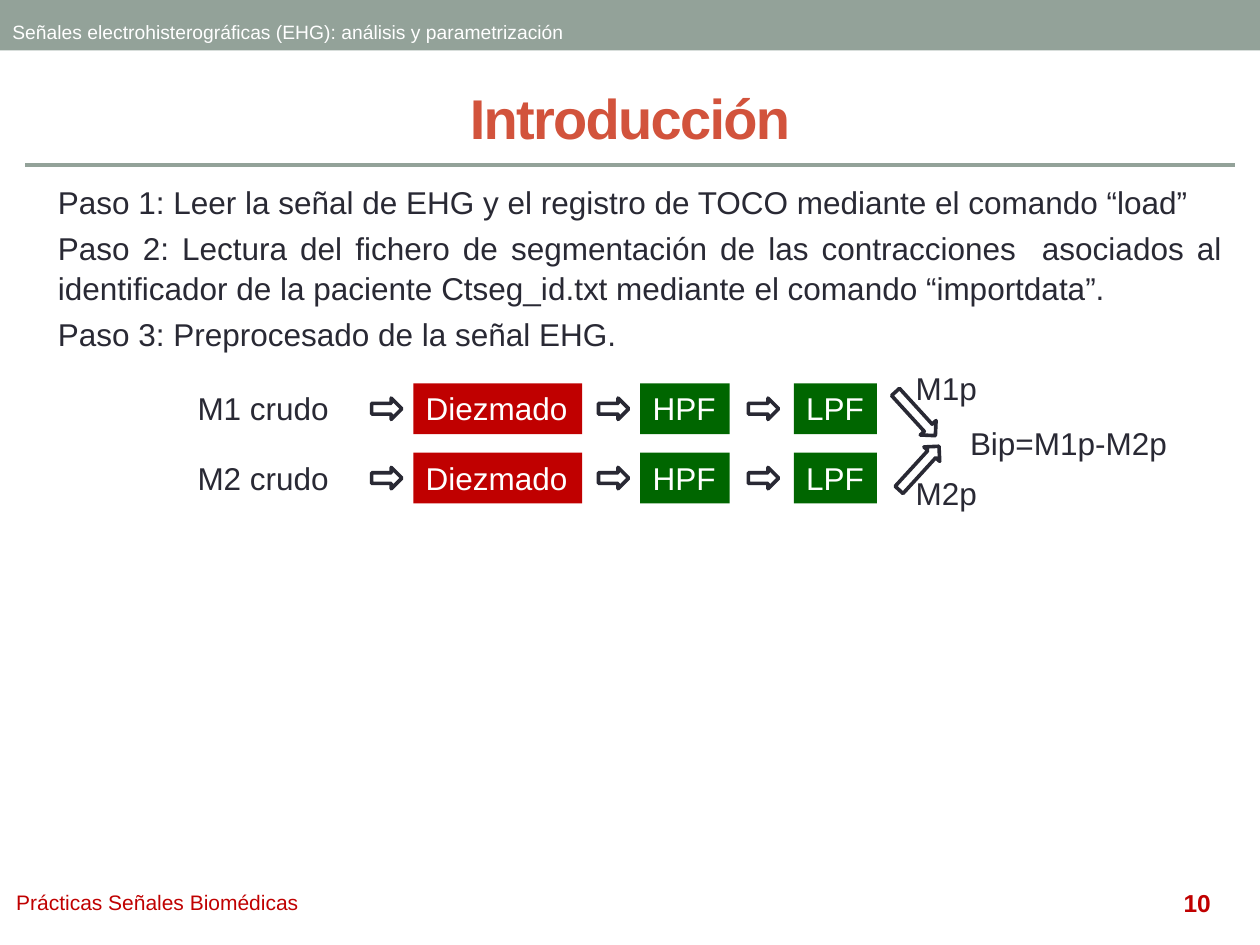
from dataclasses import dataclass

from lxml.etree import SubElement
from pptx import Presentation
from pptx.dml.color import RGBColor
from pptx.enum.shapes import MSO_CONNECTOR, MSO_SHAPE
from pptx.enum.text import MSO_ANCHOR, MSO_AUTO_SIZE, PP_ALIGN
from pptx.oxml.ns import qn
from pptx.util import Pt


@dataclass(frozen=True)
class Theme:
    font: str = "Arial"
    sage: str = "93A299"
    coral: str = "D2533C"
    ink: str = "292934"
    red: str = "C00000"
    green: str = "006600"
    white: str = "FFFFFF"
    header_size: float = 11
    footer_size: float = 12
    number_size: float = 14
    body_size: float = 18
    title_size: float = 32
    rule_width: float = 2.25
    arrow_width: float = 2.08


@dataclass(frozen=True)
class Box:
    left: float
    top: float
    width: float
    height: float

    def inner(self, left, top, width, height):
        return Box(self.left + left, self.top + top, width, height)

    def lengths(self):
        return [Pt(round(v, 2)) for v in (self.left, self.top, self.width, self.height)]


THEME = Theme()
LABEL_HEIGHT = 29.1
ROW_PITCH = 39.6
ARROW_HEIGHT = 12.2


def color(code):
    return RGBColor.from_string(code)


def add_span(para, text, size, code, bold=False):
    span = para.add_run()
    span.text = text
    span.font.name = THEME.font
    span.font.size = Pt(size)
    span.font.bold = bold
    span.font.color.rgb = color(code)
    return span


def add_label(page, box, text, size=THEME.body_size, code=THEME.ink, bold=False,
              align=PP_ALIGN.LEFT, anchor=MSO_ANCHOR.TOP, wrap=False):
    frame = page.shapes.add_textbox(*box.lengths()).text_frame
    frame.word_wrap = wrap
    frame.vertical_anchor = anchor
    frame.paragraphs[0].alignment = align
    add_span(frame.paragraphs[0], text, size, code, bold)


def add_block(page, box, fill, text=None):
    block = page.shapes.add_shape(MSO_SHAPE.RECTANGLE, *box.lengths())
    block.shadow.inherit = False
    block.fill.solid()
    block.fill.fore_color.rgb = color(fill)
    block.line.fill.background()
    if text:
        frame = block.text_frame
        frame.word_wrap = False
        frame.vertical_anchor = MSO_ANCHOR.TOP
        frame.paragraphs[0].alignment = PP_ALIGN.LEFT
        add_span(frame.paragraphs[0], text, THEME.body_size, THEME.white)


def add_arrow(page, box, rotation=0):
    arrow = page.shapes.add_shape(MSO_SHAPE.RIGHT_ARROW, *box.lengths())
    arrow.shadow.inherit = False
    arrow.rotation = rotation
    arrow.fill.background()
    arrow.line.color.rgb = color(THEME.ink)
    arrow.line.width = Pt(THEME.arrow_width)


def move(placeholder, box):
    placeholder.left, placeholder.top, placeholder.width, placeholder.height = box.lengths()
    placeholder.text_frame.auto_size = MSO_AUTO_SIZE.NONE
    return placeholder.text_frame


def draw_header(page, box):
    add_block(page, box, THEME.sage)
    add_label(page, box.inner(0, 8, 332.6, 20.8),
              "Señales electrohisterográficas (EHG): análisis y parametrización",
              THEME.header_size, THEME.white, anchor=MSO_ANCHOR.MIDDLE)


def draw_footer(page, box):
    add_label(page, box.inner(2.2, 0, 324, box.height), "Prácticas Señales Biomédicas",
              THEME.footer_size, THEME.red, anchor=MSO_ANCHOR.MIDDLE, wrap=True)
    add_label(page, box.inner(615, 0, 84, box.height), "10", THEME.number_size, THEME.red,
              bold=True, align=PP_ALIGN.RIGHT, anchor=MSO_ANCHOR.MIDDLE, wrap=True)


def draw_title(page, box):
    frame = move(page.shapes.title, box)
    frame.vertical_anchor = MSO_ANCHOR.MIDDLE
    para = frame.paragraphs[0]
    para.alignment = PP_ALIGN.CENTER
    span = add_span(para, "Introducción", THEME.title_size, THEME.coral, bold=True)
    span.font._element.set("spc", "-100")

    # Rule under the title
    y = Pt(box.top + 66.2)
    rule = page.shapes.add_connector(MSO_CONNECTOR.STRAIGHT, Pt(box.left + 14.4), y,
                                     Pt(box.left + box.width - 14.4), y)
    rule.line.color.rgb = color(THEME.sage)
    rule.line.width = Pt(THEME.rule_width)
    SubElement(rule._element.spPr, qn("a:effectLst"))


def draw_steps(page, box):
    steps = (
        "Paso 1: Leer la señal de EHG y el registro de TOCO mediante el comando “load”",
        "Paso 2: Lectura del fichero de segmentación de las contracciones  asociados al "
        "identificador de la paciente Ctseg_id.txt mediante el comando “importdata”.",
        "Paso 3: Preprocesado de la señal EHG.",
    )
    frame = move(page.placeholders[1], box)
    for index, step in enumerate(steps):
        para = frame.add_paragraph() if index else frame.paragraphs[0]
        para.alignment = PP_ALIGN.JUSTIFY
        para.line_spacing = 1.05
        properties = para._p.get_or_add_pPr()
        properties.set("marL", "0")
        properties.set("indent", "0")
        SubElement(properties, qn("a:buNone"))
        add_span(para, step, THEME.body_size, THEME.ink)


def draw_channel(page, box, name):
    """One row: raw signal, decimation and two filters."""
    add_label(page, box.inner(0, 0, 90, box.height), name)
    stages = (("Diezmado", 130.4, 96.5, THEME.red),
              ("HPF", 260, 51.1, THEME.green),
              ("LPF", 347.8, 47.5, THEME.green))
    for text, left, width, fill in stages:
        add_block(page, box.inner(left, 0, width, box.height), fill, text)
    for left in (106.6, 236.2, 321.9):
        add_arrow(page, box.inner(left, 8.5, 17.3, ARROW_HEIGHT))


def draw_merge(page, box):
    """Both processed channels join in the bipolar signal."""
    add_arrow(page, box.inner(0, 23, 33.8, ARROW_HEIGHT), 47.6)
    add_arrow(page, box.inner(2.1, 54, 33.8, ARROW_HEIGHT), 312.4)
    for text, left, top, width in (("M1p", 10, 0, 49.7), ("M2p", 10, 59.7, 49.7),
                                   ("Bip=M1p-M2p", 41, 31.6, 128.2)):
        add_label(page, box.inner(left, top, width, LABEL_HEIGHT), text)


def main():
    deck = Presentation()
    deck.slide_width, deck.slide_height = Pt(720), Pt(540)
    page = deck.slides.add_slide(deck.slide_layouts[1])

    draw_header(page, Box(0, 0, 720, 28.8))
    draw_footer(page, Box(0, 502.6, 720, 26))
    draw_title(page, Box(0, 28.1, 720, 77.8))
    draw_steps(page, Box(25.9, 100.1, 679.7, 294.5))
    for row, name in enumerate(("M1 crudo", "M2 crudo")):
        draw_channel(page, Box(105.8, 219 + row * ROW_PITCH, 395.3, LABEL_HEIGHT), name)
    draw_merge(page, Box(506.2, 207.4, 169.2, 88.8))

    deck.save("out.pptx")


if __name__ == "__main__":
    main()
